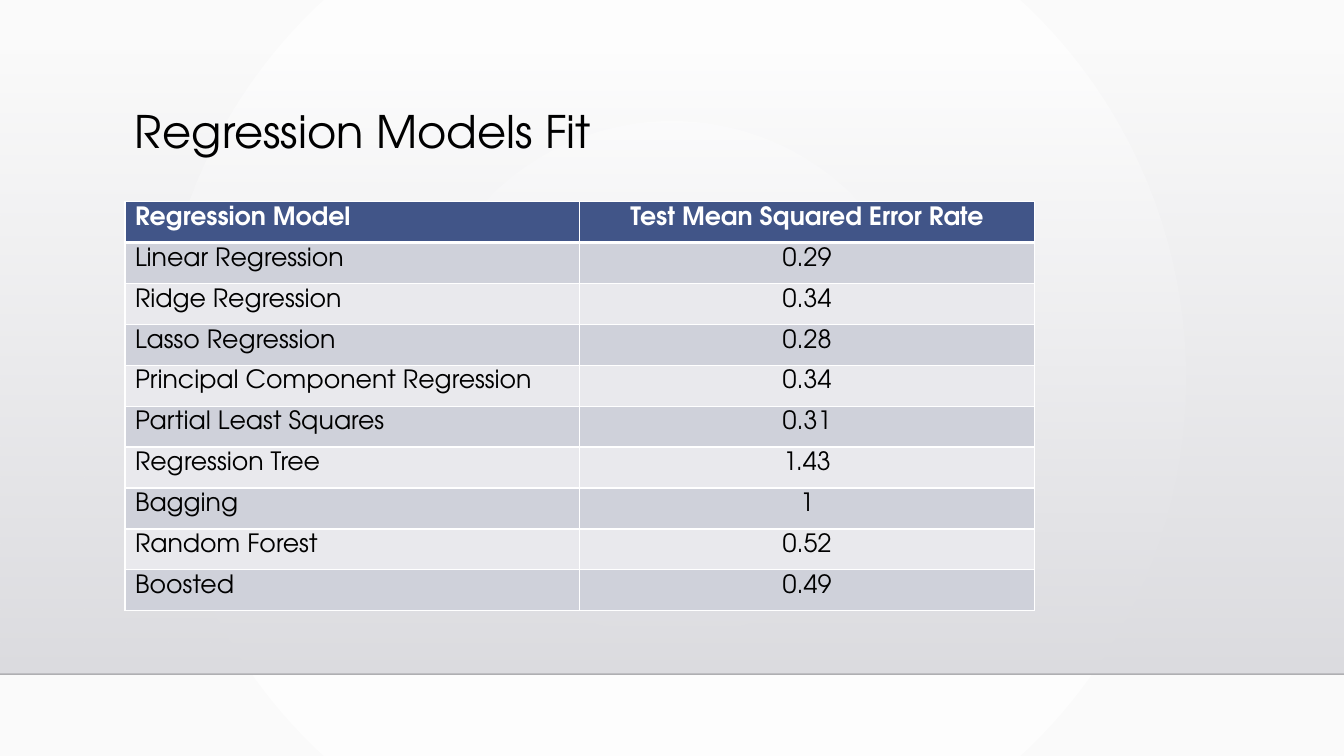
from lxml import etree
from pptx import Presentation
from pptx.dml.color import RGBColor
from pptx.enum import shapes, text
from pptx.oxml import parse_xml
from pptx.oxml.ns import qn
from pptx.util import Pt

FONT = "TeX Gyre Adventor"
NS = 'xmlns:a="http://schemas.openxmlformats.org/drawingml/2006/main"'
WIDTH, HEIGHT = 960, 540
FLOOR = 481.5
LEFT = 89.3
COLUMN, ROW = 324.8, 29.25
HEADER, BANDS = "415588", ("CFD1DA", "E9E9ED")

RESULTS = [
    ("Regression Model", "Test Mean Squared Error Rate"),
    ("Linear Regression", "0.29"),
    ("Ridge Regression", "0.34"),
    ("Lasso Regression", "0.28"),
    ("Principal Component Regression", "0.34"),
    ("Partial Least Squares", "0.31"),
    ("Regression Tree", "1.43"),
    ("Bagging", "1"),
    ("Random Forest", "0.52"),
    ("Boosted", "0.49"),
]


def rgb(value):
    return RGBColor.from_string(value)


def write(tf, words, size=18, color="000000", bold=False, align="LEFT", spacing=None):
    p = tf.paragraphs[0]
    p.alignment = getattr(text.PP_ALIGN, align)
    p.line_spacing = spacing
    r = p.add_run()
    r.text = words
    r.font.name, r.font.size, r.font.bold = FONT, Pt(size), bold
    r.font.color.rgb = rgb(color)


def set_alpha(color_node, percent):
    etree.SubElement(color_node, qn("a:alpha"), val=str(percent * 1000))


def gradient(fill, first, last):
    fill.gradient()
    for stop, color, position in zip(fill.gradient_stops, (first, last), (0, 1)):
        stop.color.rgb = rgb(color)
        stop.position = position


def add_background(s):
    gradient(s.background.fill, "FFFFFF", "FAFAFA")
    lin = next(s.element.iter(qn("a:lin")))
    lin.getparent().replace(lin, parse_xml(
        f'<a:path {NS} path="circle">'
        '<a:fillToRect l="50000" t="50000" r="50000" b="50000"/></a:path>'))


def add_wall(s):
    sp = s.shapes.add_shape(shapes.MSO_SHAPE.RECTANGLE, 0, Pt(36.7), Pt(WIDTH), Pt(FLOOR - 36.7))
    sp.shadow.inherit = False
    sp.line.fill.background()
    gradient(sp.fill, "DCDCE0", "DEDEE2")
    sp.fill.gradient_angle = 270
    set_alpha(next(sp.element.spPr.iter(qn("a:srgbClr"))), 0)


def add_floor_line(s):
    line = s.shapes.add_connector(shapes.MSO_CONNECTOR.STRAIGHT, 0, Pt(FLOOR), Pt(WIDTH), Pt(FLOOR))
    line.line.width = Pt(1)
    line.line.color.rgb = rgb("000001")
    spPr = line.element.spPr
    set_alpha(next(spPr.iter(qn("a:srgbClr"))), 20)
    etree.SubElement(spPr, qn("a:effectLst"))


def add_title(s, words):
    tf = s.shapes.add_textbox(Pt(LEFT), Pt(74.9), Pt(756), Pt(82.8)).text_frame
    tf.word_wrap = True
    tf.vertical_anchor = text.MSO_ANCHOR.TOP
    write(tf, words, size=32, spacing=0.9)


def set_borders(cell, **widths):
    tcPr = cell._tc.get_or_add_tcPr()
    for index, (side, width) in enumerate(widths.items()):
        tcPr.insert(index, parse_xml(
            f'<a:ln{side} {NS} w="{Pt(width)}"><a:solidFill>'
            f'<a:srgbClr val="FFFFFF"/></a:solidFill></a:ln{side}>'))


def add_results(s, rows):
    table = s.shapes.add_table(len(rows), 2, Pt(LEFT), Pt(144),
                               Pt(2 * COLUMN), Pt(len(rows) * ROW)).table
    for column in table.columns:
        column.width = Pt(COLUMN)
    for i, values in enumerate(rows):
        table.rows[i].height = Pt(ROW)
        head = i == 0
        for j, value in enumerate(values):
            cell = table.cell(i, j)
            cell.margin_left = cell.margin_right = Pt(7.2)
            cell.margin_top = cell.margin_bottom = Pt(3.6)
            cell.fill.solid()
            cell.fill.fore_color.rgb = rgb(HEADER if head else BANDS[(i - 1) % 2])
            set_borders(cell, L=1, R=1, T=3 if i == 1 else 1, B=3 if head else 1)
            write(cell.text_frame, value, color="FFFFFF" if head else "000000",
                  bold=head, align="CENTER" if j else "LEFT")


def main():
    prs = Presentation()
    prs.slide_width, prs.slide_height = Pt(WIDTH), Pt(HEIGHT)
    s = prs.slides.add_slide(prs.slide_layouts[6])

    # Backdrop
    add_background(s)
    add_wall(s)
    add_floor_line(s)

    # Content
    add_title(s, "Regression Models Fit")
    add_results(s, RESULTS)

    prs.save("out.pptx")


if __name__ == "__main__":
    main()
